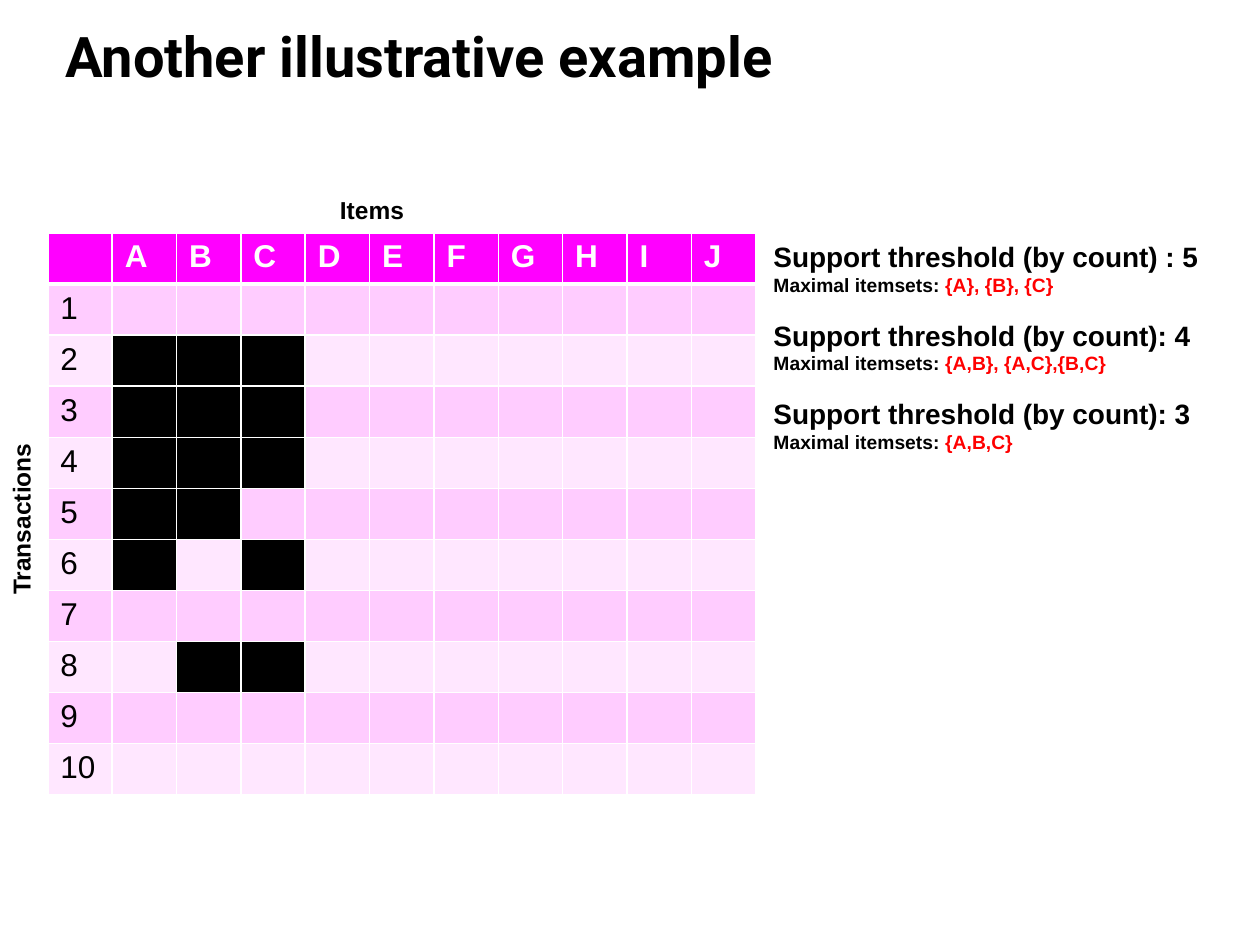
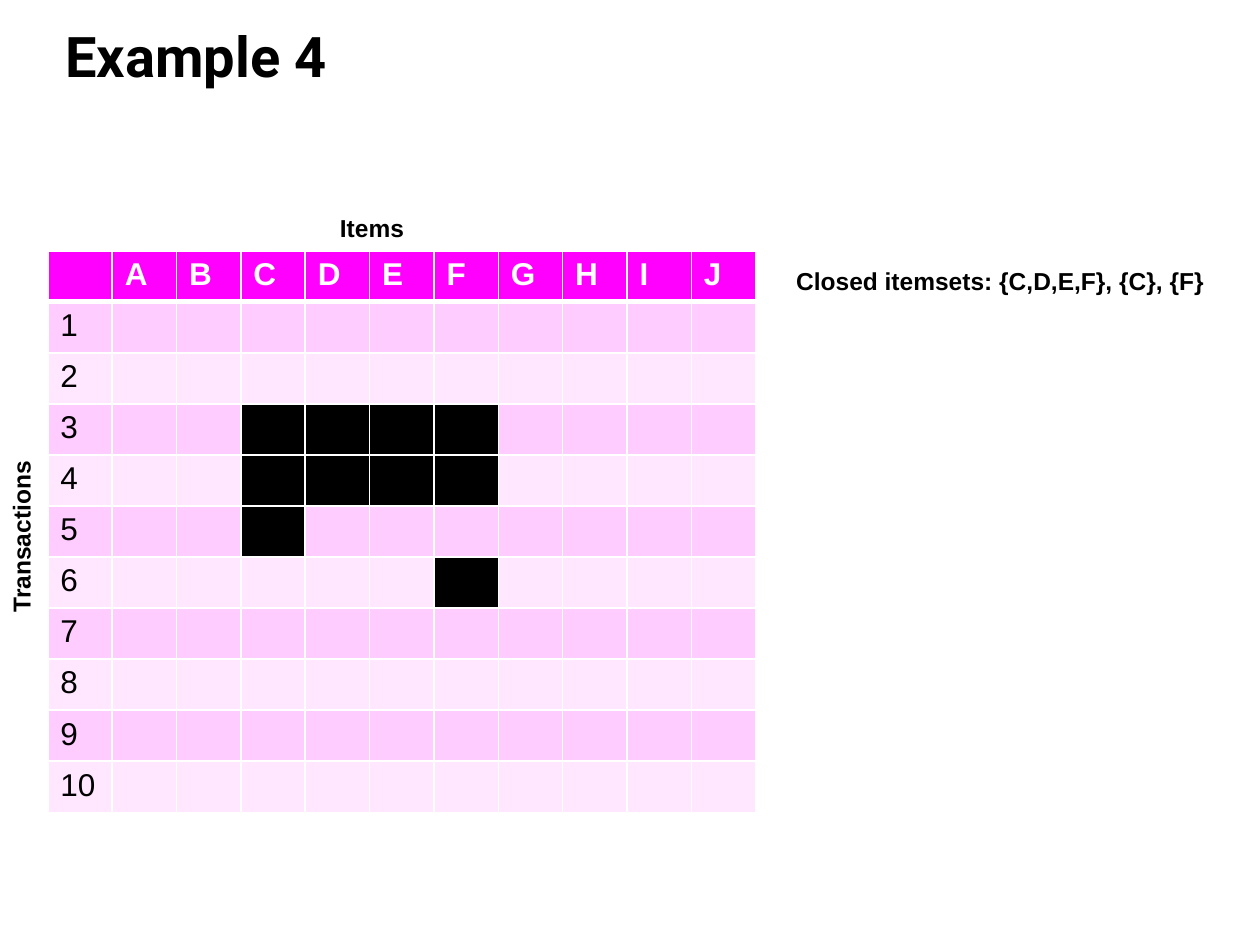
import pptx
import pptx.dml.color
import pptx.enum.text
import pptx.oxml
import pptx.oxml.ns
import pptx.util
from pptx.util import Inches

BLACK = pptx.dml.color.RGBColor(0x00, 0x00, 0x00)
WHITE = pptx.dml.color.RGBColor(0xFF, 0xFF, 0xFF)
RED = pptx.dml.color.RGBColor(0xFF, 0x00, 0x00)
MAGENTA = pptx.dml.color.RGBColor(0xFF, 0x00, 0xFF)
PINK = pptx.dml.color.RGBColor(0xFF, 0xCC, 0xFF)
PALE_PINK = pptx.dml.color.RGBColor(0xFF, 0xE7, 0xFF)

ITEMS = "ABCDEFGHIJ"
TRANSACTIONS = 10
GRID_LEFT, GRID_WIDTH, GRID_HEIGHT = 0.38, 5.62, 4.46

# Each transaction number maps to the items it holds
EXAMPLES = [
    {
        "title": "Another illustrative example",
        "grid_top": 1.85,
        "baskets": {2: "ABC", 3: "ABC", 4: "ABC", 5: "AB", 6: "AC", 8: "BC"},
        "notes_at": (6.04, 1.85, 3.62, 1.85),
        "notes": [
            ("Support threshold (by count) : 5", "{A}, {B}, {C}"),
            ("Support threshold (by count): 4", "{A,B}, {A,C},{B,C}"),
            ("Support threshold (by count): 3", "{A,B,C}"),
        ],
    },
    {
        "title": "Example 4",
        "grid_top": 1.99,
        "baskets": {3: "CDEF", 4: "CDEF", 5: "C", 6: "F"},
        "notes_at": (6.22, 2.06, 3.62, 0.4),
        "notes": [("Closed itemsets: {C,D,E,F}, {C}, {F}", None)],
    },
]


def write(paragraph, text, size=14, color=BLACK, bold=True, font="Arial"):
    run = paragraph.add_run()
    run.text = text
    run.font.name = font
    run.font.size = pptx.util.Pt(size)
    run.font.bold = bold
    run.font.color.rgb = color


def add_border(cell, side, points):
    cell._tc.get_or_add_tcPr().append(pptx.oxml.parse_xml(
        f'<a:ln{side} {pptx.oxml.ns.nsdecls("a")} w="{pptx.util.Pt(points)}">'
        f'<a:solidFill><a:srgbClr val="{WHITE}"/></a:solidFill></a:ln{side}>'))


deck = pptx.Presentation()
deck.slide_width, deck.slide_height = Inches(10), Inches(7.5)

for example in EXAMPLES:
    slide = deck.slides.add_slide(deck.slide_layouts[6])
    top = example["grid_top"]

    # Title
    title = slide.shapes.add_textbox(
        Inches(0.42), Inches(0.17), Inches(9.06), Inches(0.58)).text_frame
    title.word_wrap = True
    title.vertical_anchor = pptx.enum.text.MSO_ANCHOR.BOTTOM
    title.paragraphs[0].line_spacing = pptx.util.Pt(36)
    write(title.paragraphs[0], example["title"], size=32, font="Roboto")

    # Grid of transactions by items
    grid = slide.shapes.add_table(
        TRANSACTIONS + 1, len(ITEMS) + 1, Inches(GRID_LEFT), Inches(top),
        Inches(GRID_WIDTH), Inches(GRID_HEIGHT)).table
    grid.horz_banding = False
    for column in grid.columns:
        column.width = Inches(GRID_WIDTH / (len(ITEMS) + 1))
    for number, row in enumerate(grid.rows):
        row.height = Inches(GRID_HEIGHT / (TRANSACTIONS + 1))
        band = PINK if number % 2 else PALE_PINK
        for item, cell in zip(" " + ITEMS, row.cells):
            header = number == 0
            held = item in example["baskets"].get(number, "")
            for side in "LRTB":
                under_header = (number, side) in [(0, "B"), (1, "T")]
                add_border(cell, side, 3 if under_header else 1)
            cell.fill.solid()
            cell.fill.fore_color.rgb = MAGENTA if header else BLACK if held else band
            if header and item != " ":
                write(cell.text_frame.paragraphs[0], item, size=18, color=WHITE)
            elif not header and item == " ":
                write(cell.text_frame.paragraphs[0], str(number), size=18, bold=False)

    # Axis labels
    for label, left, offset, width, turn in [
            ("Items", 2.6, -0.35, 0.77, 0), ("Transactions", -0.54, 2.03, 1.48, 270)]:
        axis = slide.shapes.add_textbox(
            Inches(left), Inches(top + offset), Inches(width), Inches(0.4))
        axis.rotation = turn
        axis.text_frame.word_wrap = False
        write(axis.text_frame.paragraphs[0], label)

    # Itemsets found
    notes = slide.shapes.add_textbox(*map(Inches, example["notes_at"])).text_frame
    notes.word_wrap = False
    for index, (heading, itemsets) in enumerate(example["notes"]):
        line = notes.add_paragraph() if index else notes.paragraphs[0]
        if index:
            line.space_before = pptx.util.Pt(12.6)
        write(line, heading, size=16 if itemsets else 14)
        if itemsets:
            line = notes.add_paragraph()
            write(line, "Maximal itemsets: ", size=11)
            write(line, itemsets, size=11, color=RED)

deck.save("out.pptx")
